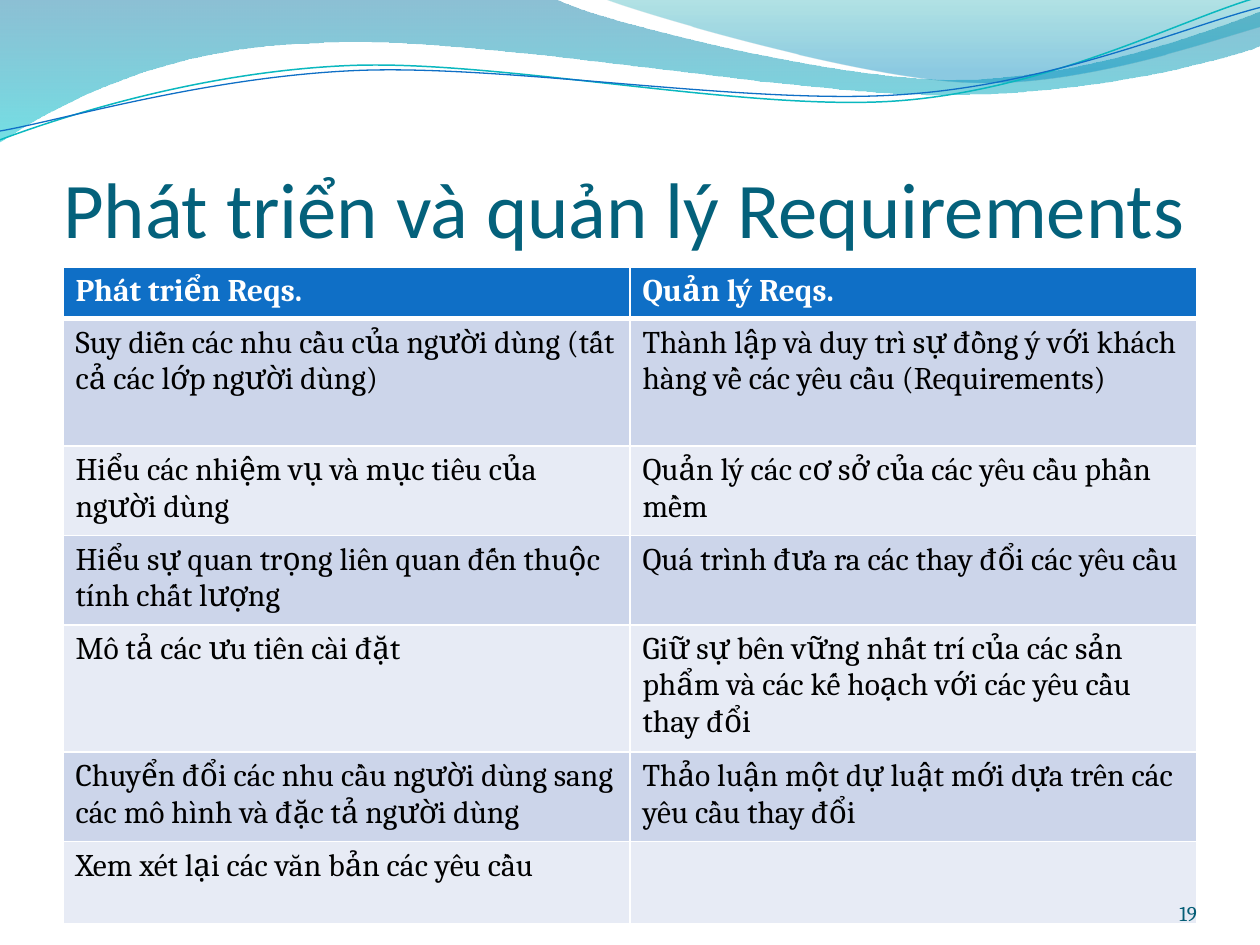
import math

import pptx
import pptx.dml.color
import pptx.enum.text
import pptx.oxml.ns
import pptx.util
from lxml import etree

RGBColor = pptx.dml.color.RGBColor
Inches, Pt = pptx.util.Inches, pptx.util.Pt
PP_ALIGN, MSO_ANCHOR = pptx.enum.text.PP_ALIGN, pptx.enum.text.MSO_ANCHOR
qn = pptx.oxml.ns.qn

WHITE, BLACK = RGBColor(0xFF, 0xFF, 0xFF), RGBColor(0, 0, 0)
BLUE = RGBColor(0x0F, 0x6F, 0xC6)
TEAL = RGBColor(0x0A, 0xB8, 0xBF)
TITLE_COLOR = RGBColor(0x04, 0x61, 0x7B)
NUMBER_COLOR = RGBColor(0x04, 0x5D, 0x75)
BAND_DARK, BAND_LIGHT = RGBColor(0xCC, 0xD5, 0xEA), RGBColor(0xE7, 0xEB, 0xF5)
DEEP_BLUE, CYAN = RGBColor(0x00, 0x74, 0xA1), RGBColor(0x00, 0xC6, 0xCF)
SEA_GREEN, SKY_BLUE = RGBColor(0x00, 0xA1, 0xA9), RGBColor(0x00, 0x8B, 0xBF)

SLIDE_W, SLIDE_H = Inches(10), Inches(7.5)
MARGIN = int(SLIDE_W * 0.05)
CONTENT_W = SLIDE_W - 2 * MARGIN
WAVE_TILT = 357.3

# Outlines in inches: a pair is a line end, six numbers are a Bezier segment
LEFT_BAND = [
    (0, 0), (4.4, -0.01),
    (4.76, 0.17, 6.64, 0.63, 7.58, 0.63), (8.53, 0.63, 9.58, 0.26, 10, 0.09),
    (10.01, 0.36),
    (9.83, 0.44, 8.7, 0.76, 7.46, 0.75), (6.22, 0.75, 3.82, 0.28, 2.57, 0.34),
    (1.29, 0.36, 0.46, 0.83, -0.01, 1.13), (0, 0),
]
RIGHT_BAND = [
    (4.79, -0.01),
    (5.09, 0.11, 6.82, 0.62, 7.69, 0.65), (8.56, 0.69, 9.61, 0.32, 10, 0.21),
    (10, 0), (4.79, -0.01),
]
TEAL_WAVE = [
    (0, 1.11),
    (0.48, 0.93, 1.58, 0.57, 2.77, 0.52), (3.95, 0.47, 5.93, 0.89, 7.13, 0.8),
    (8.33, 0.71, 9.38, 0.15, 9.98, -0.02),
]
BLUE_WAVE = [
    (0, 1.04),
    (0.47, 0.96, 1.64, 0.61, 2.83, 0.56), (4.03, 0.51, 5.97, 0.84, 7.17, 0.75),
    (8.36, 0.67, 9.41, 0.21, 10, 0.06),
]

ROW_HEIGHTS = [0.41, 1.01, 0.71, 0.71, 1.01, 0.71, 0.65]
ROWS = [
    ("Phát triển Reqs.", "Quản lý Reqs."),
    ("Suy diễn các nhu cầu của người dùng (tất cả các lớp người dùng)",
     "Thành lập và duy trì sự đồng ý với khách hàng về các yêu cầu (Requirements)"),
    ("Hiểu các nhiệm vụ và mục tiêu của người dùng",
     "Quản lý các cơ sở của các yêu cầu phần mềm"),
    ("Hiểu sự quan trọng liên quan đến thuộc tính chất lượng",
     "Quá trình đưa ra các thay đổi các yêu cầu"),
    ("Mô tả các ưu tiên cài đặt",
     "Giữ sự bên vững nhất trí của các sản phẩm và các kế hoạch với các yêu cầu thay đổi"),
    ("Chuyển đổi các nhu cầu người dùng sang các mô hình và đặc tả người dùng",
     "Thảo luận một dự luật mới dựa trên các yêu cầu thay đổi"),
    ("Xem xét lại các văn bản các yêu cầu", ""),
]


def add_outline(slide, outline, close):
    """Freeform whose six-number segments become Bezier curves."""
    points = [(Inches(x), Inches(y)) for seg in outline
              for x, y in zip(seg[::2], seg[1::2])]
    builder = slide.shapes.build_freeform(*points[0])
    builder.add_line_segments(points[1:], close=close)
    sp = builder.convert_to_shape()
    sp.shadow.inherit = False
    lines = iter(list(sp._element.iter(qn("a:lnTo"))))
    for seg in outline[1:]:
        first = next(lines)
        if len(seg) == 6:
            curve = etree.Element(qn("a:cubicBezTo"))
            first.addprevious(curve)
            for line in (first, next(lines), next(lines)):
                curve.append(line[0])
                line.getparent().remove(line)
    return sp


def add_band(slide, outline, stops):
    """Filled band; each stop is (position, colour, opacity in percent)."""
    sp = add_outline(slide, outline, True)
    sp.line.fill.background()
    sp.fill.gradient()
    sp.fill.gradient_angle = 270
    for stop, (position, color, _) in zip(sp.fill.gradient_stops, stops):
        stop.position = position
        stop.color.rgb = color
    for clr, (_, _, opacity) in zip(sp._element.spPr.iter(qn("a:srgbClr")), stops):
        etree.SubElement(clr, qn("a:alpha"), val=str(opacity * 1000))


def turn(outline, degrees, cx, cy):
    """Turn every point clockwise about (cx, cy)."""
    c, s = math.cos(math.radians(degrees)), math.sin(math.radians(degrees))
    return [[v for x, y in zip(seg[::2], seg[1::2])
             for v in (cx + (x - cx) * c - (y - cy) * s,
                       cy + (x - cx) * s + (y - cy) * c)]
            for seg in outline]


def add_wave(slide, outline, center, color, width):
    """Tilted line: laid out level, then rotated into place."""
    sp = add_outline(slide, turn(outline, -WAVE_TILT, *center), False)
    sp.rotation = WAVE_TILT
    sp.fill.background()
    sp.line.color.rgb = color
    sp.line.width = Pt(width)


def add_run(p, text, font, size, color, bold=False):
    r = p.add_run()
    r.text = text
    r.font.name, r.font.size, r.font.bold = font, Pt(size), bold
    r.font.color.rgb = color


def set_frame(tf, top_inset=0):
    tf.word_wrap = True
    tf.auto_size = pptx.enum.text.MSO_AUTO_SIZE.NONE
    tf.vertical_anchor = MSO_ANCHOR.BOTTOM
    tf.margin_left = tf.margin_right = tf.margin_bottom = 0
    tf.margin_top = Inches(top_inset)


def set_title(slide, text):
    title = slide.shapes.title
    title.left, title.top = MARGIN, Inches(0.77)
    title.width, title.height = CONTENT_W, Inches(1.25)
    set_frame(title.text_frame, 0.05)
    p = title.text_frame.paragraphs[0]
    p.alignment = PP_ALIGN.LEFT
    add_run(p, text, "Calibri", 45, TITLE_COLOR)


def set_borders(cell, widths):
    tcPr = cell._tc.get_or_add_tcPr()
    for side, width in widths.items():
        ln = etree.SubElement(tcPr, qn("a:ln" + side), w=str(Pt(width)))
        fill = etree.SubElement(ln, qn("a:solidFill"))
        etree.SubElement(fill, qn("a:srgbClr"), val=str(WHITE))


def add_requirements_table(slide):
    n_cols = len(ROWS[0])
    table = slide.shapes.add_table(len(ROWS), n_cols, MARGIN, Inches(2.12),
                                   CONTENT_W, Inches(sum(ROW_HEIGHTS))).table
    for col in table.columns:
        col.width = CONTENT_W // n_cols
    for i, (height, texts) in enumerate(zip(ROW_HEIGHTS, ROWS)):
        table.rows[i].height = Inches(height)
        header = i == 0
        band = BLUE if header else BAND_DARK if i % 2 else BAND_LIGHT
        for j, text in enumerate(texts):
            cell = table.cell(i, j)
            set_borders(cell, {"L": 1, "R": 1, "T": 3 if i == 1 else 1,
                               "B": 3 if header else 1})
            cell.fill.solid()
            cell.fill.fore_color.rgb = band
            if text:
                add_run(cell.text_frame.paragraphs[0], text, "Cambria", 18,
                        WHITE if header else BLACK, header)


def add_slide_number(slide, number):
    width = Inches(0.83)
    box = slide.shapes.add_textbox(SLIDE_W - MARGIN - width, Inches(6.95),
                                   width, Inches(0.4))
    set_frame(box.text_frame)
    p = box.text_frame.paragraphs[0]
    p.alignment = PP_ALIGN.RIGHT
    add_run(p, number, "Cambria", 12, NUMBER_COLOR)


def main():
    prs = pptx.Presentation()
    prs.slide_width, prs.slide_height = SLIDE_W, SLIDE_H
    slide = prs.slides.add_slide(prs.slide_layouts[5])

    # Wavy header
    add_band(slide, LEFT_BAND, [(0, DEEP_BLUE, 45), (1, CYAN, 55)])
    add_band(slide, RIGHT_BAND, [(0, SEA_GREEN, 30), (0.8, SKY_BLUE, 45)])
    add_wave(slide, TEAL_WAVE, (4.99, 0.58), TEAL, 0.85)
    add_wave(slide, BLUE_WAVE, (5, 0.59), BLUE, 0.75)

    # Content
    set_title(slide, "Phát triển và quản lý Requirements")
    add_requirements_table(slide)
    add_slide_number(slide, "19")
    prs.save("out.pptx")


if __name__ == "__main__":
    main()
